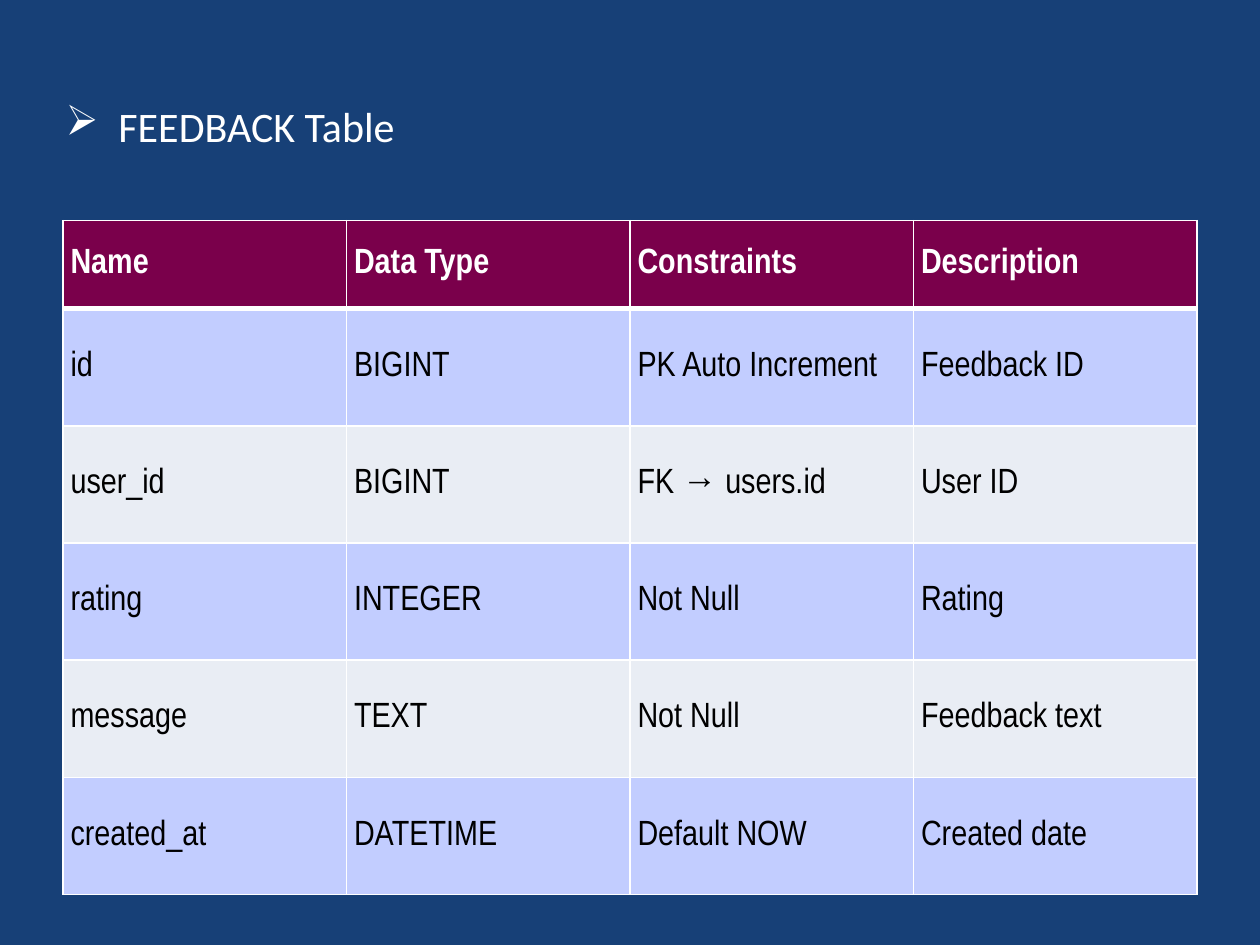
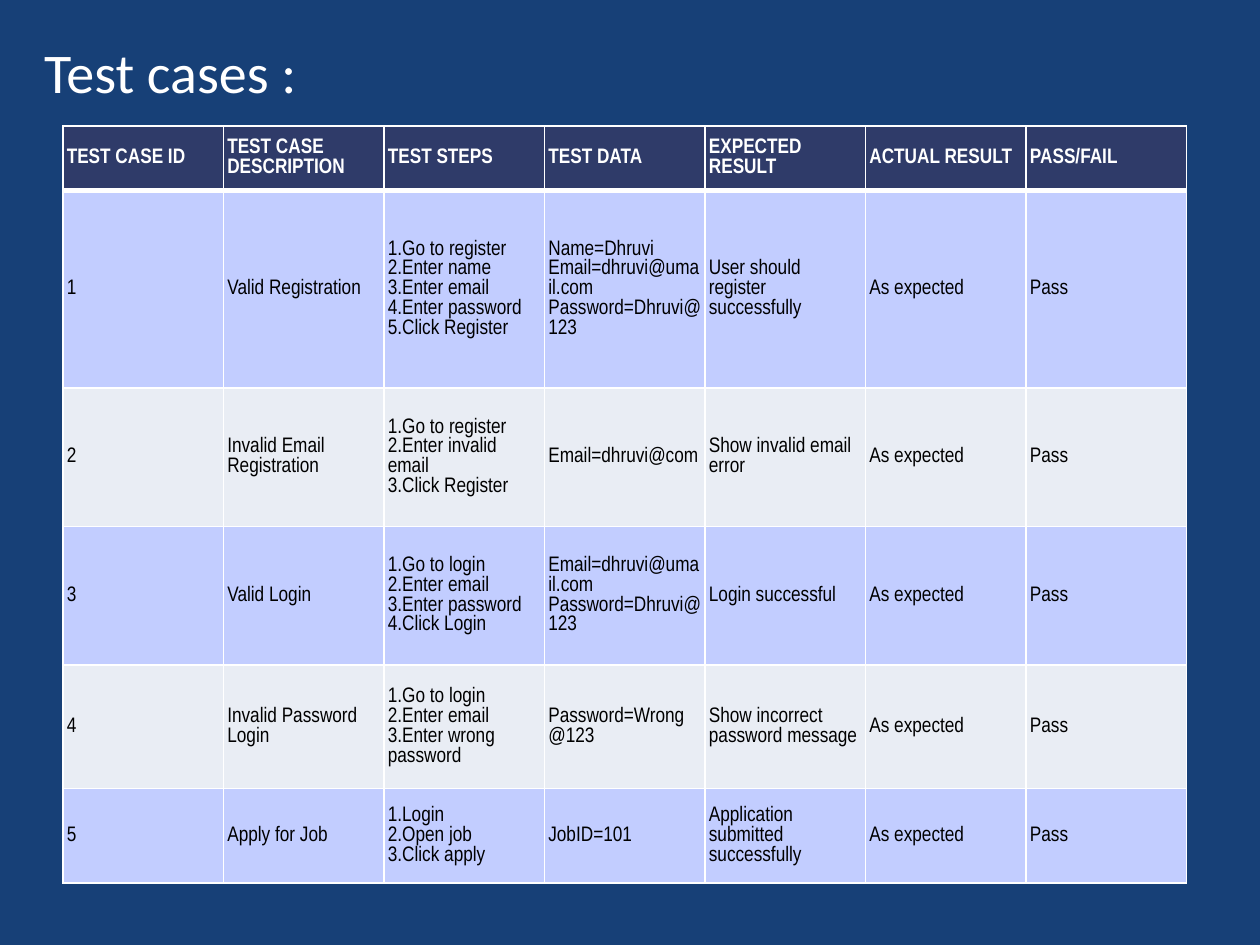
from dataclasses import dataclass

from lxml import etree
from pptx import Presentation
from pptx import util as u
from pptx.dml.color import RGBColor
from pptx.enum import text as t
from pptx.oxml.ns import qn


# Theme
@dataclass(frozen=True)
class Theme:
    back: str = "174077"
    white: str = "FFFFFF"
    ink: str = "000000"
    bands: tuple = ("C2CDFF", "E9EDF4")
    plum: str = "7A004B"
    navy: str = "2F3B69"
    head: str = "Calibri"
    body: str = "Arial Narrow"
    thin: float = 1
    thick: float = 3


TH = Theme()

# Content: cells with several lines are tuples
DONE = ("As expected", "Pass")
SLIDES = [
    dict(
        title="FEEDBACK Table", size=24, bullet="➢", box=(0.42, 0.75, 8.25, 0.5),
        at=(0.5, 1.75), width=9, heights=[0.7] + [0.93] * 5,
        fill=TH.plum, type=20, pad=(0.06, 0.03),
        rows=[
            ("Name", "Data Type", "Constraints", "Description"),
            ("id", "BIGINT", "PK Auto Increment", "Feedback ID"),
            ("user_id", "BIGINT", "FK → users.id", "User ID"),
            ("rating", "INTEGER", "Not Null", "Rating"),
            ("message", "TEXT", "Not Null", "Feedback text"),
            ("created_at", "DATETIME", "Default NOW", "Created date"),
        ],
    ),
    dict(
        title="Test cases :", size=32, bullet=None, box=(0.25, 0.25, 2.97, 0.64),
        at=(0.5, 1), width=8.92, heights=[0.51, 1.57, 1.1, 1.1, 0.98, 0.75],
        fill=TH.navy, type=12, pad=(0.03, 0.01),
        rows=[
            ("TEST CASE ID", "TEST CASE DESCRIPTION", "TEST STEPS", "TEST DATA",
             "EXPECTED RESULT", "ACTUAL RESULT", "PASS/FAIL"),
            ("1", "Valid Registration",
             ("1.Go to register", "2.Enter name", "3.Enter email",
              "4.Enter password", "5.Click Register"),
             ("Name=Dhruvi", "Email=dhruvi@umail.com", "Password=Dhruvi@123"),
             "User should register successfully", *DONE),
            ("2", "Invalid Email Registration",
             ("1.Go to register", "2.Enter invalid email", "3.Click Register"),
             "Email=dhruvi@com", "Show invalid email error", *DONE),
            ("3", "Valid Login",
             ("1.Go to login", "2.Enter email", "3.Enter password", "4.Click Login"),
             ("Email=dhruvi@umail.com", "Password=Dhruvi@123"),
             "Login successful", *DONE),
            ("4", "Invalid Password Login",
             ("1.Go to login", "2.Enter email", "3.Enter wrong password"),
             "Password=Wrong@123", "Show incorrect password message", *DONE),
            ("5", "Apply for Job",
             ("1.Login", "2.Open job", "3.Click apply"),
             "JobID=101", "Application submitted successfully", *DONE),
        ],
    ),
]


def write(frame, words, size, font, color, bold=False, bullet=None):
    """Fill a text frame, one paragraph a line."""
    lines = (words,) if isinstance(words, str) else words
    for i, line in enumerate(lines):
        para = frame.paragraphs[0] if i == 0 else frame.add_paragraph()
        para.alignment = t.PP_ALIGN.LEFT
        if bullet:
            props = para._p.get_or_add_pPr()
            props.set("marL", str(u.Inches(0.42)))
            props.set("indent", str(-u.Inches(0.42)))
            etree.SubElement(props, qn("a:buChar"), char=bullet)
        run = para.add_run()
        run.text = line
        run.font.size, run.font.name, run.font.bold = u.Pt(size), font, bold
        run.font.color.rgb = RGBColor.from_string(color)


def edge(cell, **widths):
    """Draw white cell borders: L, R, T and B, in points."""
    props = cell._tc.get_or_add_tcPr()
    for side, width in widths.items():
        line = etree.SubElement(props, qn(f"a:ln{side}"), w=str(u.Pt(width)))
        fill = etree.SubElement(line, qn("a:solidFill"))
        etree.SubElement(fill, qn("a:srgbClr"), val=TH.white)


def add_title(slide, page):
    title = slide.shapes.title
    title.left, title.top, title.width, title.height = map(u.Inches, page["box"])
    frame = title.text_frame
    frame.word_wrap = bool(page["bullet"])
    frame.auto_size = t.MSO_AUTO_SIZE.SHAPE_TO_FIT_TEXT
    frame.vertical_anchor = t.MSO_ANCHOR.TOP
    write(frame, page["title"], page["size"], TH.head, TH.white, bullet=page["bullet"])


def add_grid(slide, page):
    rows, tall = page["rows"], page["heights"]
    count = len(rows[0])
    size = map(u.Inches, (*page["at"], page["width"], sum(tall)))
    grid = slide.shapes.add_table(len(rows), count, *size).table
    for col in grid.columns:
        col.width = u.Inches(page["width"] / count)
    for r, row in enumerate(rows):
        grid.rows[r].height = u.Inches(tall[r])
        top = r == 0
        for c, words in enumerate(row):
            cell = grid.cell(r, c)
            cell.margin_left = cell.margin_right = u.Inches(page["pad"][0])
            cell.margin_top = cell.margin_bottom = u.Inches(page["pad"][1])
            cell.vertical_anchor = t.MSO_ANCHOR.MIDDLE
            edge(cell, L=TH.thin, R=TH.thin,
                 T=TH.thick if r == 1 else TH.thin,
                 B=TH.thick if top else TH.thin)
            cell.fill.solid()
            cell.fill.fore_color.rgb = RGBColor.from_string(
                page["fill"] if top else TH.bands[(r - 1) % 2])
            write(cell.text_frame, words, page["type"], TH.body,
                  TH.white if top else TH.ink, bold=top)


def main():
    deck = Presentation()
    deck.slide_width, deck.slide_height = u.Inches(10), u.Inches(7.5)
    # Shared background
    back = deck.slide_master.background.fill
    back.solid()
    back.fore_color.rgb = RGBColor.from_string(TH.back)
    layout = deck.slide_layouts.get_by_name("Title Only")
    for page in SLIDES:
        slide = deck.slides.add_slide(layout)
        add_title(slide, page)
        add_grid(slide, page)
    deck.save("out.pptx")


if __name__ == "__main__":
    main()
